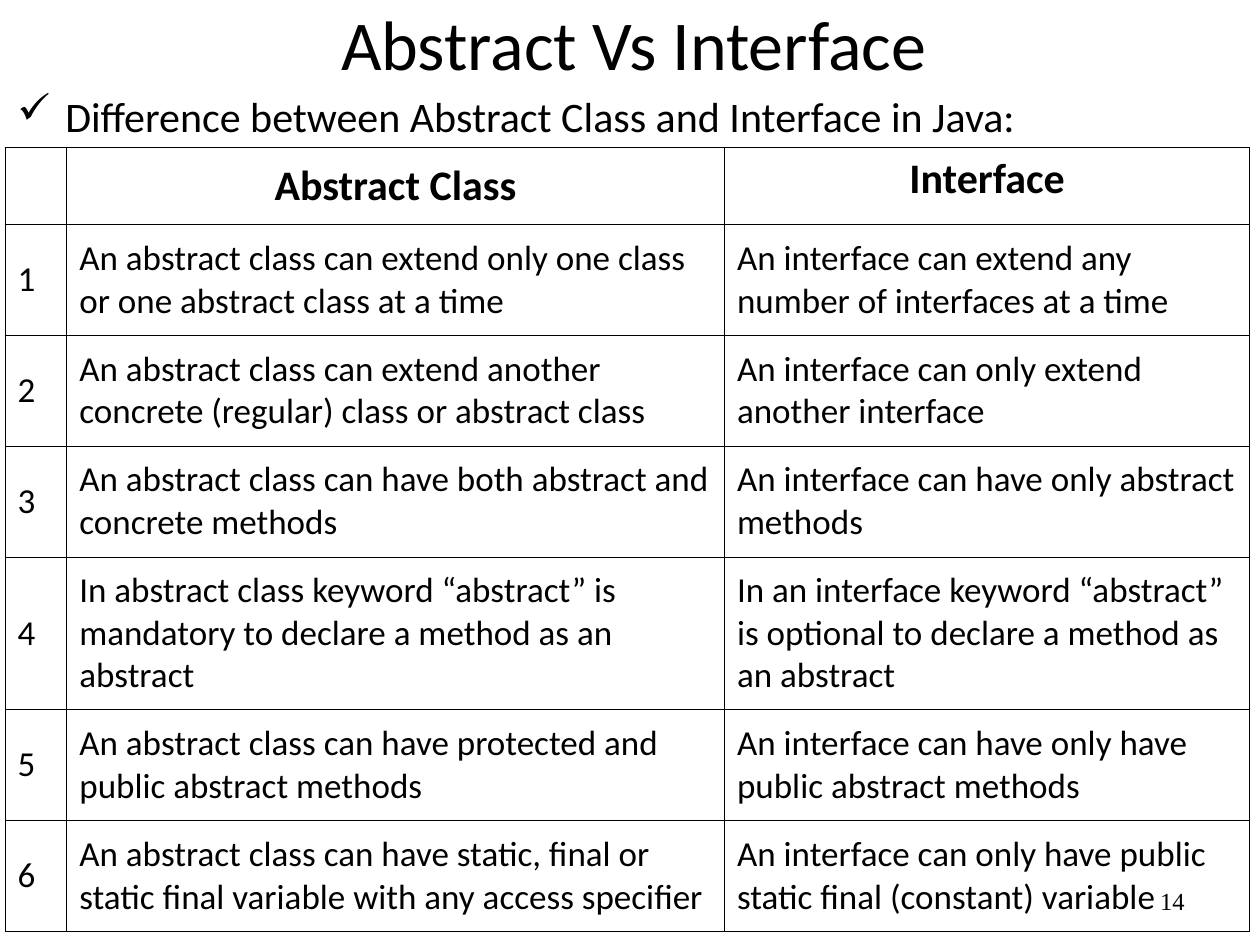
"""Build the slide that compares abstract classes with interfaces in Java."""
from dataclasses import dataclass

from lxml import etree
from pptx import Presentation
from pptx.dml.color import RGBColor
from pptx.enum import text as t
from pptx.oxml import ns
from pptx.util import Inches, Pt

BLACK = "000000"
COLUMN_WIDTHS = (0.49, 5.22, 4.17)
ROW_HEIGHTS = (0.61, 0.88, 0.88, 0.88, 1.21, 0.88, 0.88)
HEADINGS = ("", "Abstract Class", "Interface")
DIFFERENCES = (
    ("An abstract class can extend only one class or one abstract class at a time",
     "An interface can extend any number of interfaces at a time"),
    ("An abstract class can extend another concrete (regular) class or abstract class",
     "An interface can only extend another interface"),
    ("An abstract class can have both abstract and concrete methods",
     "An interface can have only abstract methods"),
    ("In abstract class keyword “abstract” is mandatory to declare a method as an abstract",
     "In an interface keyword “abstract” is optional to declare a method as an abstract"),
    ("An abstract class can have protected and public abstract methods",
     "An interface can have only have public abstract methods"),
    ("An abstract class can have static, final or static final variable with any access specifier",
     "An interface can only have public static final (constant) variable"),
)


@dataclass(frozen=True)
class TextStyle:
    size: int
    align: t.PP_ALIGN = t.PP_ALIGN.LEFT
    anchor: t.MSO_ANCHOR = t.MSO_ANCHOR.MIDDLE
    bold: bool = False
    font: str = "Calibri"


@dataclass(frozen=True)
class Label:
    text: str
    left: float
    top: float
    width: float
    height: float
    style: TextStyle
    bullet: str = ""


TITLE = TextStyle(40, t.PP_ALIGN.CENTER)
LEAD = TextStyle(24, t.PP_ALIGN.JUSTIFY, t.MSO_ANCHOR.TOP)
PAGE_NUMBER = TextStyle(14, t.PP_ALIGN.RIGHT, font="Times New Roman")
HEADING = TextStyle(24, t.PP_ALIGN.CENTER, bold=True)
TOP_HEADING = TextStyle(24, t.PP_ALIGN.CENTER, t.MSO_ANCHOR.TOP, True)
BODY = TextStyle(20)
HEADING_STYLES = (HEADING, HEADING, TOP_HEADING)

LABELS = (
    Label("Abstract Vs Interface", 0.78, 0, 8.5, 0.67, TITLE),
    Label("14", 7.17, 6.95, 2.33, 0.4, PAGE_NUMBER),
    Label("Difference between Abstract Class and Interface in Java:",
          0.04, 0.67, 9.96, 0.5, LEAD, "✓"),
)


def color(value: str) -> RGBColor:
    """Turn a hex string into a colour."""
    return RGBColor.from_string(value)


def write(frame, content: str, style: TextStyle) -> None:
    """Put one styled paragraph in a text frame."""
    frame.text = content
    para = frame.paragraphs[0]
    para.alignment = style.align
    for span in para.runs:
        span.font.name = style.font
        span.font.size = Pt(style.size)
        span.font.bold = style.bold
        span.font.color.rgb = color(BLACK)


def add_bullet(para, mark: str) -> None:
    """Give a paragraph a hanging bullet."""
    properties = para._p.get_or_add_pPr()
    properties.set("marL", str(Inches(0.38)))
    properties.set("indent", str(-Inches(0.38)))
    etree.SubElement(properties, ns.qn("a:buChar"), char=mark)


def add_label(page, label: Label) -> None:
    """Draw a text box."""
    box = page.shapes.add_textbox(Inches(label.left), Inches(label.top),
                                  Inches(label.width), Inches(label.height))
    frame = box.text_frame
    frame.word_wrap = True
    frame.vertical_anchor = label.style.anchor
    write(frame, label.text, label.style)
    if label.bullet:
        add_bullet(frame.paragraphs[0], label.bullet)


def add_borders(cell, value: str, width: float) -> None:
    """Outline a cell on all four sides."""
    properties = cell._tc.get_or_add_tcPr()
    for side in ("lnL", "lnR", "lnT", "lnB"):
        line = etree.SubElement(properties, ns.qn(f"a:{side}"), w=str(Pt(width)))
        fill = etree.SubElement(line, ns.qn("a:solidFill"))
        etree.SubElement(fill, ns.qn("a:srgbClr"), val=value)


def fill_cell(cell, content: str, style: TextStyle) -> None:
    """Write a cell with borders and no fill."""
    write(cell.text_frame, content, style)
    cell.vertical_anchor = style.anchor
    add_borders(cell, BLACK, 0.45)
    cell.fill.background()


def add_comparison(page) -> None:
    """Draw the numbered comparison table."""
    table = page.shapes.add_table(
        len(ROW_HEIGHTS), len(COLUMN_WIDTHS), Inches(0.04), Inches(1.17),
        Inches(sum(COLUMN_WIDTHS)), Inches(sum(ROW_HEIGHTS))).table
    table.first_row = False
    table.horz_banding = False
    for column, width in zip(table.columns, COLUMN_WIDTHS):
        column.width = Inches(width)
    for row, height in zip(table.rows, ROW_HEIGHTS):
        row.height = Inches(height)
    for cell, heading, style in zip(table.rows[0].cells, HEADINGS, HEADING_STYLES):
        fill_cell(cell, heading, style)
    for number, pair in enumerate(DIFFERENCES, start=1):
        for cell, content in zip(table.rows[number].cells, (str(number), *pair)):
            fill_cell(cell, content, BODY)


def main() -> None:
    """Build and save the deck."""
    deck = Presentation()
    deck.slide_width = Inches(10)
    deck.slide_height = Inches(7.5)
    page = deck.slides.add_slide(deck.slide_layouts[6])
    for label in LABELS:
        add_label(page, label)
    add_comparison(page)
    deck.save("out.pptx")


if __name__ == "__main__":
    main()
